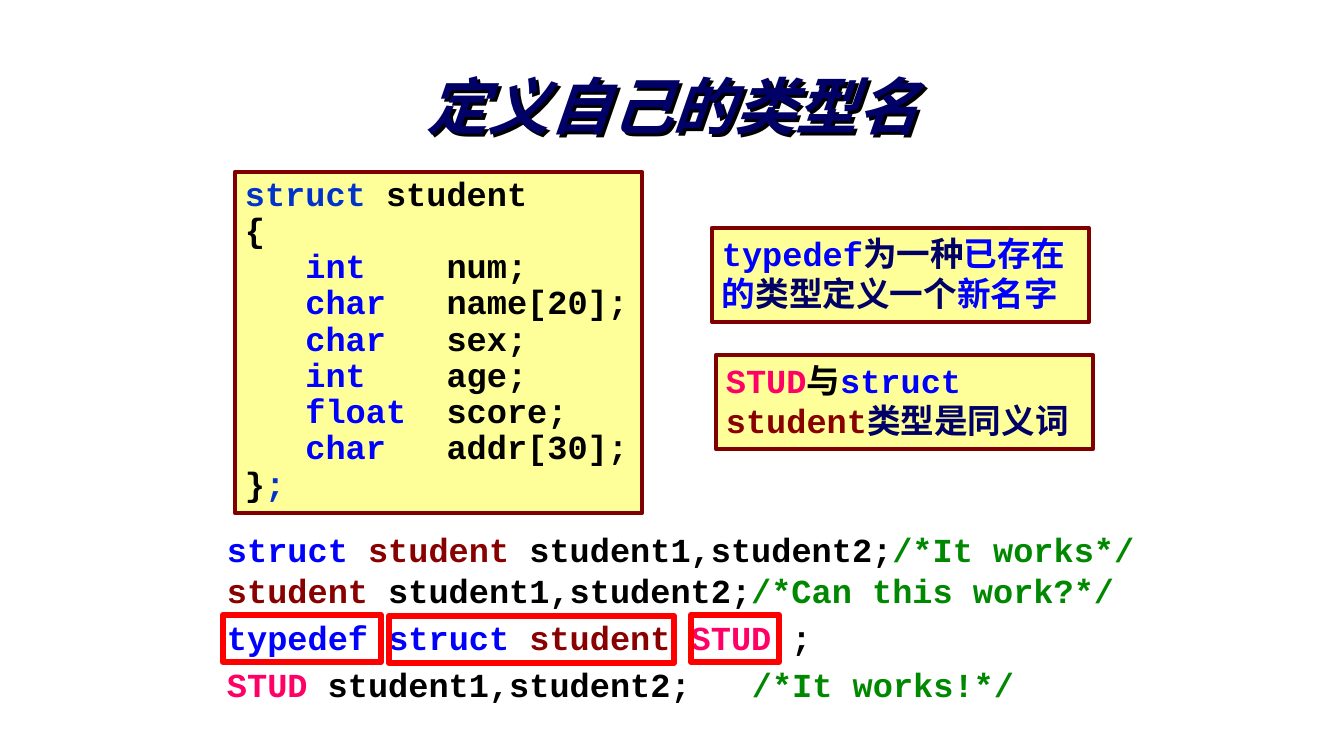
import pptx
import pptx.dml.color
import pptx.enum.shapes
import pptx.enum.text
import pptx.oxml
import pptx.util
from pptx.oxml.ns import nsdecls

# Content: each line is a list of (text, colour) runs
COLORS = {
    "navy": "000066", "blue": "0000FF", "struct": "0033CC", "maroon": "880000",
    "black": "000000", "green": "008800", "pink": "FF0066",
    "cream": "FFFF99", "border": "800000", "red": "FF0000",
}
TITLE = "定义自己的类型名"
FIELDS = [
    ("int", "num"), ("char", "name[20]"), ("char", "sex"),
    ("int", "age"), ("float", "score"), ("char", "addr[30]"),
]
STRUCT_LINES = [
    [("struct", "struct"), (" student", "black")],
    [("{", "black")],
    *[[("   ", "black"), (kind.ljust(7), "blue"), (name + ";", "black")]
      for kind, name in FIELDS],
    [("}", "black"), (";", "struct")],
]
TYPEDEF_NOTE = [[
    ("typedef", "blue"), ("为一种", "navy"), ("已存在的", "blue"),
    ("类型定义一个", "navy"), ("新名字", "blue"),
]]
SYNONYM_NOTE = [[
    ("STUD", "pink"), ("与", "black"), ("struct ", "blue"),
    ("student", "maroon"), ("类型是同义词", "navy"),
]]
USAGE_LINES = [
    [("struct ", "blue"), ("student ", "maroon"),
     ("student1,student2;", "black"), ("/*It works*/", "green")],
    [("student ", "maroon"), ("student1,student2;", "black"),
     ("/*Can this work?*/", "green")],
    [("typedef struct ", "blue"), ("student ", "maroon"),
     ("STUD ", "pink"), (";", "black")],
    [("STUD ", "pink"), ("student1,student2;\t", "black"),
     ("/*It works!*/", "green")],
]
USAGE_SPACING = [0.85, 0.85, 1, 1]
COMMENT_TAB = 525

# Places in px: left, top, width, height
TITLE_BOX = (243, 64, 860, 93)
USAGE_BOX = (217, 530, 930, 176)
PANELS = [  # place, lines, line spacing, wrap
    ((712, 228, 377, 94), TYPEDEF_NOTE, 1, True),
    ((716, 355, 377, 94), SYNONYM_NOTE, 1, True),
    ((235, 172, 407, 341), STRUCT_LINES, 0.9, False),
]
FRAMES = [(223, 615, 158, 47), (389, 616, 285, 47), (691, 615, 88, 47)]


def px(length):
    return round(length * 914400 / 100.8)


def color(name):
    return pptx.dml.color.RGBColor.from_string(COLORS[name])


def write_lines(text_frame, lines, spacings, wrap=True, space_before=0,
                font_name="Courier New", size=24):
    text_frame.word_wrap = wrap
    text_frame.vertical_anchor = pptx.enum.text.MSO_ANCHOR.TOP
    for index, (line, spacing) in enumerate(zip(lines, spacings)):
        paragraph = text_frame.paragraphs[0] if index == 0 else text_frame.add_paragraph()
        paragraph.alignment = pptx.enum.text.PP_ALIGN.LEFT
        paragraph.line_spacing = spacing
        if index and space_before:
            paragraph.space_before = pptx.util.Pt(space_before)
        for text, color_name in line:
            run = paragraph.add_run()
            run.text = text
            run.font.name = font_name
            run.font.size = pptx.util.Pt(size)
            run.font.bold = True
            run.font.color.rgb = color(color_name)


def add_rectangle(slide, place, line_color, line_width, fill=None):
    shape = slide.shapes.add_shape(
        pptx.enum.shapes.MSO_SHAPE.RECTANGLE, *map(px, place))
    shape.shadow.inherit = False
    if fill:
        shape.fill.solid()
        shape.fill.fore_color.rgb = color(fill)
    else:
        shape.fill.background()
    shape.line.color.rgb = color(line_color)
    shape.line.width = pptx.util.Pt(line_width)
    return shape


def add_title(slide):
    title = slide.shapes.add_textbox(*map(px, TITLE_BOX))
    text_frame = title.text_frame
    write_lines(text_frame, [[(TITLE, "navy")]], [0.85],
                font_name="Times New Roman", size=44)
    text_frame.vertical_anchor = pptx.enum.text.MSO_ANCHOR.MIDDLE
    paragraph = text_frame.paragraphs[0]
    paragraph.alignment = pptx.enum.text.PP_ALIGN.CENTER
    paragraph.runs[0].font.italic = True
    # A shadow on an unfilled box falls behind its letters
    shadow = pptx.oxml.parse_xml(
        f'<a:effectLst {nsdecls("a")}><a:outerShdw dist="38100" dir="2700000">'
        f'<a:srgbClr val="{COLORS["black"]}"/></a:outerShdw></a:effectLst>')
    title._element.spPr.append(shadow)


def add_usage(slide):
    text_frame = slide.shapes.add_textbox(*map(px, USAGE_BOX)).text_frame
    write_lines(text_frame, USAGE_LINES, USAGE_SPACING, space_before=4.8)
    # Tab stop that lines up the last comment
    tabs = pptx.oxml.parse_xml(
        f'<a:tabLst {nsdecls("a")}><a:tab pos="{px(COMMENT_TAB)}" algn="l"/></a:tabLst>')
    text_frame.paragraphs[-1]._p.get_or_add_pPr().append(tabs)


def main():
    presentation = pptx.Presentation()
    presentation.slide_width = px(1344)
    presentation.slide_height = px(756)
    slide = presentation.slides.add_slide(presentation.slide_layouts[6])

    add_title(slide)
    add_usage(slide)

    # Frames around the parts of the typedef line
    for place in FRAMES:
        add_rectangle(slide, place, "red", 4.5)

    # Yellow panels
    for place, lines, spacing, wrap in PANELS:
        panel = add_rectangle(slide, place, "border", 3, "cream")
        write_lines(panel.text_frame, lines, [spacing] * len(lines), wrap)

    presentation.save("out.pptx")


if __name__ == "__main__":
    main()
